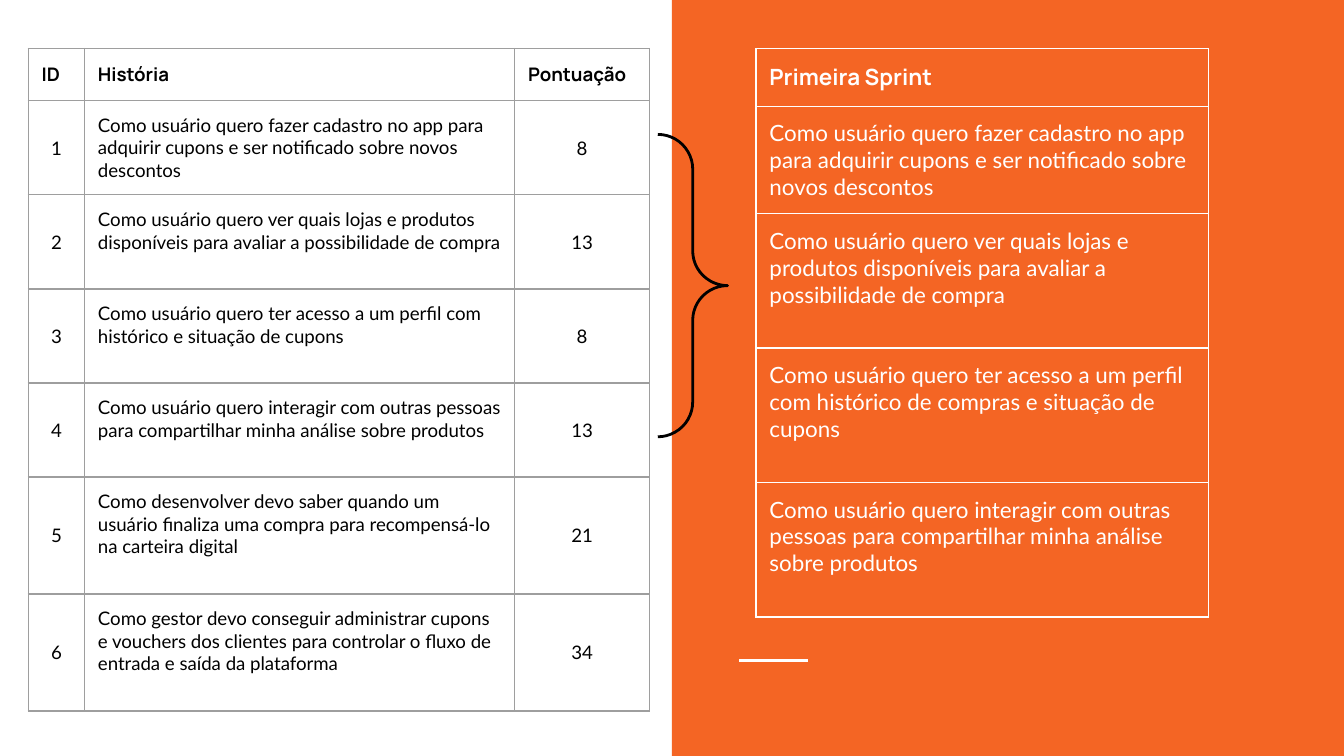
from lxml import etree
from pptx import Presentation
from pptx.dml.color import RGBColor
from pptx.enum import shapes, text
from pptx.oxml.ns import qn
from pptx.util import Pt

THEME = {
    "orange": "F46524", "white": "FFFFFF", "black": "000000", "grey": "9E9E9E",
    "head_font": "Manrope", "body_font": "Lato",
    "backlog_size": 10, "sprint_size": 12,
    "rule": 1.5, "border": 0.75, "inset": 7.2,
}
WIDTH, HEIGHT = 720, 405
TOP = 26

BACKLOG = [
    ("ID", "História", "Pontuação"),
    ("1", "Como usuário quero fazer cadastro no app para adquirir cupons e ser notificado sobre novos descontos", "8"),
    ("2", "Como usuário quero ver quais lojas e produtos disponíveis para avaliar a possibilidade de compra", "13"),
    ("3", "Como usuário quero ter acesso a um perfil com histórico e situação de cupons", "8"),
    ("4", "Como usuário quero interagir com outras pessoas para compartilhar minha análise sobre produtos", "13"),
    ("5", "Como desenvolver devo saber quando um usuário finaliza uma compra para recompensá-lo na carteira digital", "21"),
    ("6", "Como gestor devo conseguir administrar cupons e vouchers dos clientes para controlar o fluxo de entrada e saída da plataforma", "34"),
]
SPRINT = [
    ("Primeira Sprint",),
    (BACKLOG[1][1],),
    (BACKLOG[2][1],),
    ("Como usuário quero ter acesso a um perfil com histórico de compras e situação de cupons",),
    (BACKLOG[4][1],),
]


def color(name):
    return RGBColor.from_string(THEME[name])


def set_borders(cell, name):
    tcPr = cell._tc.get_or_add_tcPr()
    for i, side in enumerate(("lnL", "lnR", "lnT", "lnB")):
        ln = etree.Element(qn(f"a:{side}"), w=str(Pt(THEME["border"])))
        fill = etree.SubElement(ln, qn("a:solidFill"))
        etree.SubElement(fill, qn("a:srgbClr"), val=THEME[name])
        tcPr.insert(i, ln)


def add_story_table(s, rows, left, widths, heights, size, ink, border, centred=()):
    """Add a bordered table with a bold header; columns in centred are centred below it."""
    frame = s.shapes.add_table(len(rows), len(widths), Pt(left), Pt(TOP),
                               Pt(sum(widths)), Pt(sum(heights)))
    table = frame.table
    table.first_row = table.horz_banding = False
    for col, width in zip(table.columns, widths):
        col.width = Pt(width)
    for i, (row, height) in enumerate(zip(rows, heights)):
        table.rows[i].height = Pt(height)
        for j, words in enumerate(row):
            cell = table.cell(i, j)
            cell.fill.background()
            set_borders(cell, border)
            cell.margin_left = cell.margin_right = Pt(THEME["inset"])
            cell.margin_top = cell.margin_bottom = Pt(THEME["inset"])
            p = cell.text_frame.paragraphs[0]
            if i and j in centred:
                cell.vertical_anchor = text.MSO_ANCHOR.MIDDLE
                p.alignment = text.PP_ALIGN.CENTER
            r = p.add_run()
            r.text = words
            r.font.size = Pt(THEME[size])
            r.font.name = THEME["body_font" if i else "head_font"]
            r.font.bold = i == 0
            r.font.color.rgb = color(ink)


def add_preset(s, kind, left, top, width, height):
    sp = s.shapes.add_shape(kind, Pt(left), Pt(top), Pt(width), Pt(height))
    sp.shadow.inherit = False
    return sp


def main():
    prs = Presentation()
    prs.slide_width, prs.slide_height = Pt(WIDTH), Pt(HEIGHT)
    s = prs.slides.add_slide(prs.slide_layouts[6])

    panel = add_preset(s, shapes.MSO_SHAPE.RECTANGLE, WIDTH / 2, 0, WIDTH / 2, HEIGHT)
    panel.fill.solid()
    panel.fill.fore_color.rgb = color("orange")
    panel.line.fill.background()

    rule = s.shapes.add_connector(shapes.MSO_CONNECTOR.STRAIGHT,
                                  Pt(396), Pt(354), Pt(432.8), Pt(354))
    rule.line.color.rgb = color("white")
    rule.line.width = Pt(THEME["rule"])
    etree.SubElement(rule._element.spPr, qn("a:effectLst"))

    add_story_table(s, BACKLOG, 15.1, [30.2, 230.4, 72.3],
                    [26.2] + [50.4] * 4 + [62.7] * 2,
                    "backlog_size", "black", "grey", centred=(0, 2))

    brace = add_preset(s, shapes.MSO_SHAPE.RIGHT_BRACE, 352.4, 72, 37.4, 162)
    brace.adjustments[0] = brace.adjustments[1] = 0.5
    brace.fill.background()
    brace.line.color.rgb = color("black")
    brace.line.width = Pt(THEME["rule"])

    add_story_table(s, SPRINT, 405, [242.4], [28.9, 57.4] + [72] * 3,
                    "sprint_size", "white", "white")

    prs.save("out.pptx")


if __name__ == "__main__":
    main()
